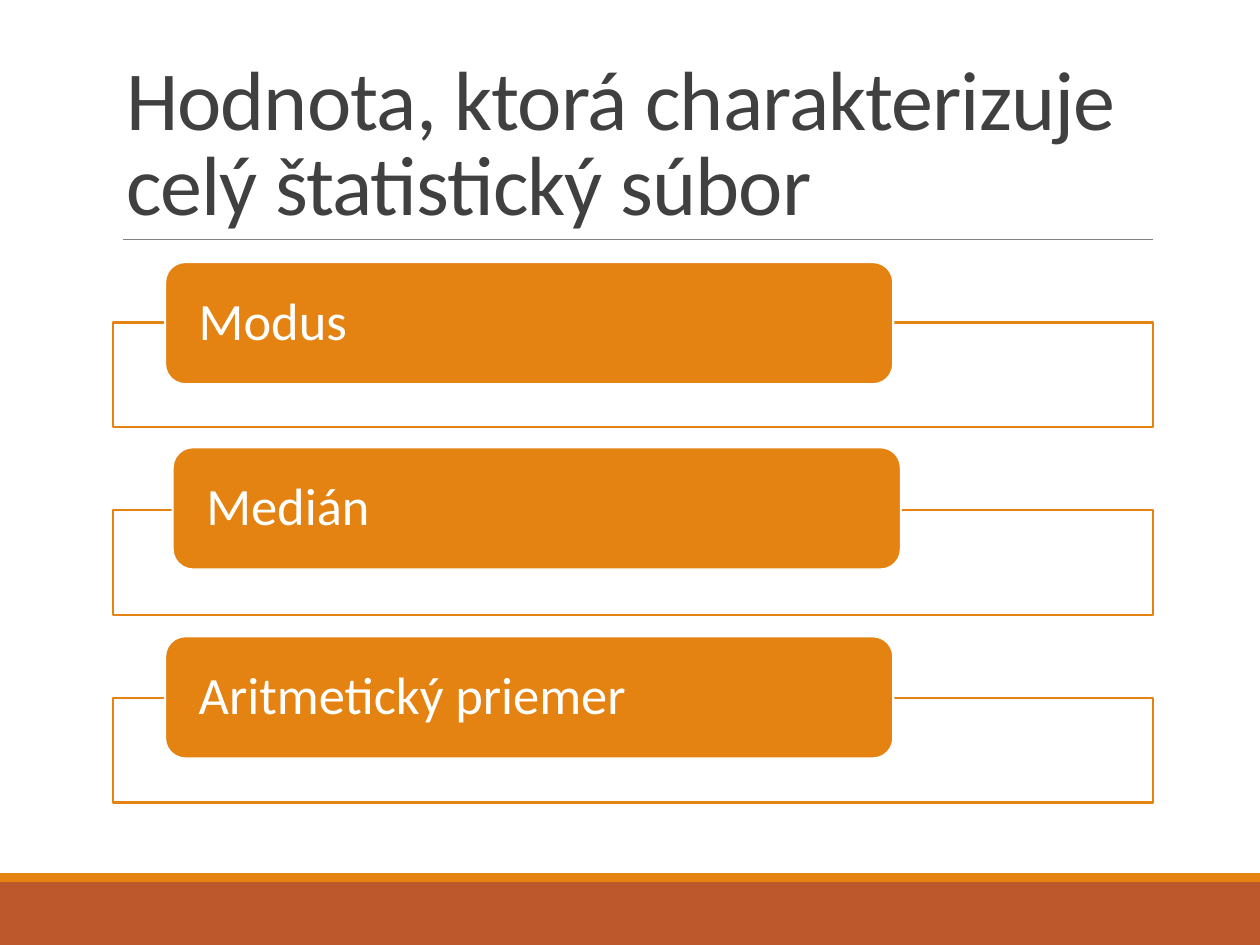
from dataclasses import dataclass

from pptx import Presentation
from pptx.dml.color import RGBColor
from pptx.enum.shapes import MSO_CONNECTOR, MSO_SHAPE
from pptx.enum.text import MSO_ANCHOR, MSO_AUTO_SIZE, PP_ALIGN
from pptx.oxml.ns import qn
from pptx.util import Inches, Pt
from lxml.etree import SubElement


@dataclass(frozen=True)
class Theme:
    font: str = "Calibri"
    white: str = "FFFFFF"
    ink: str = "404040"
    rule: str = "808080"
    orange: str = "E48312"
    rust: str = "BD582C"
    head: int = 48
    label: int = 30
    thin: float = 0.5
    edge: float = 1.25


class Deck:
    cols, rows = 100, 75

    def __init__(self, theme):
        self.theme = theme
        self.show = Presentation()
        self.show.slide_width = Inches(10)
        self.show.slide_height = Inches(7.5)
        self.slide = self.show.slides.add_slide(self.show.slide_layouts[5])

    def place(self, col, row, wide=0, high=0):
        unit_x = self.show.slide_width / self.cols
        unit_y = self.show.slide_height / self.rows
        return [round(col * unit_x), round(row * unit_y),
                round(wide * unit_x), round(high * unit_y)]

    def letter(self, frame, text, size, color, lines):
        frame.text = text
        frame.word_wrap = True
        frame.auto_size = MSO_AUTO_SIZE.NONE
        line = frame.paragraphs[0]
        line.alignment = PP_ALIGN.LEFT
        line.line_spacing = lines
        run = line.runs[0]
        run.font.name = self.theme.font
        run.font.size = Pt(size)
        run.font.color.rgb = RGBColor.from_string(color)
        return run

    def title(self, text, *area):
        box = self.slide.shapes.title
        box.left, box.top, box.width, box.height = self.place(*area)
        run = self.letter(box.text_frame, text, self.theme.head, self.theme.ink, 0.85)
        box.text_frame.vertical_anchor = MSO_ANCHOR.BOTTOM
        run._r.get_or_add_rPr().set("spc", "-50")

    def block(self, area, fill, edge=None, kind=MSO_SHAPE.RECTANGLE):
        shape = self.slide.shapes.add_shape(kind, *self.place(*area))
        shape.shadow.inherit = False
        shape.fill.solid()
        shape.fill.fore_color.rgb = RGBColor.from_string(fill)
        if edge:
            shape.line.color.rgb = RGBColor.from_string(edge)
            shape.line.width = Pt(self.theme.edge)
        else:
            shape.line.fill.background()
        return shape

    def frame(self, *area):
        shape = self.block(area, self.theme.white, self.theme.orange)
        color = shape._element.spPr.find(qn("a:solidFill"))[0]
        SubElement(color, qn("a:alpha")).set("val", "90000")

    def pill(self, text, *area):
        shape = self.block(area, self.theme.orange, self.theme.white,
                           MSO_SHAPE.ROUNDED_RECTANGLE)
        body = shape.text_frame
        self.letter(body, text, self.theme.label, self.theme.white, 0.9)
        body.vertical_anchor = MSO_ANCHOR.MIDDLE
        body.margin_left = body.margin_right = Inches(0.22)
        body.margin_top = body.margin_bottom = Inches(0.05)

    def rule(self, start, end, row):
        left, top, *_ = self.place(start, row)
        right = self.place(end, row)[0]
        line = self.slide.shapes.add_connector(
            MSO_CONNECTOR.STRAIGHT, left, top, right, top)
        line.line.color.rgb = RGBColor.from_string(self.theme.rule)
        line.line.width = Pt(self.theme.thin)
        SubElement(line._element.spPr, qn("a:effectLst"))


def main():
    theme = Theme()
    deck = Deck(theme)
    deck.block((0, 70, 100, 5), theme.rust)
    deck.block((0, 69.3, 100, 0.7), theme.orange)
    deck.rule(9.8, 91.5, 19)
    deck.title("Hodnota, ktorá charakterizuje celý štatistický súbor",
               9, 3.1, 82.5, 15.9)
    items = [("Modus", 13.1, 20.8), ("Medián", 13.7, 35.5),
             ("Aritmetický priemer", 13.1, 50.5)]
    for step, (text, col, row) in enumerate(items):
        deck.frame(9, 25.6 + step * 14.9, 82.5, 8.3)
        deck.pill(text, col, row, 57.8, 9.7)
    deck.show.save("out.pptx")


if __name__ == "__main__":
    main()
